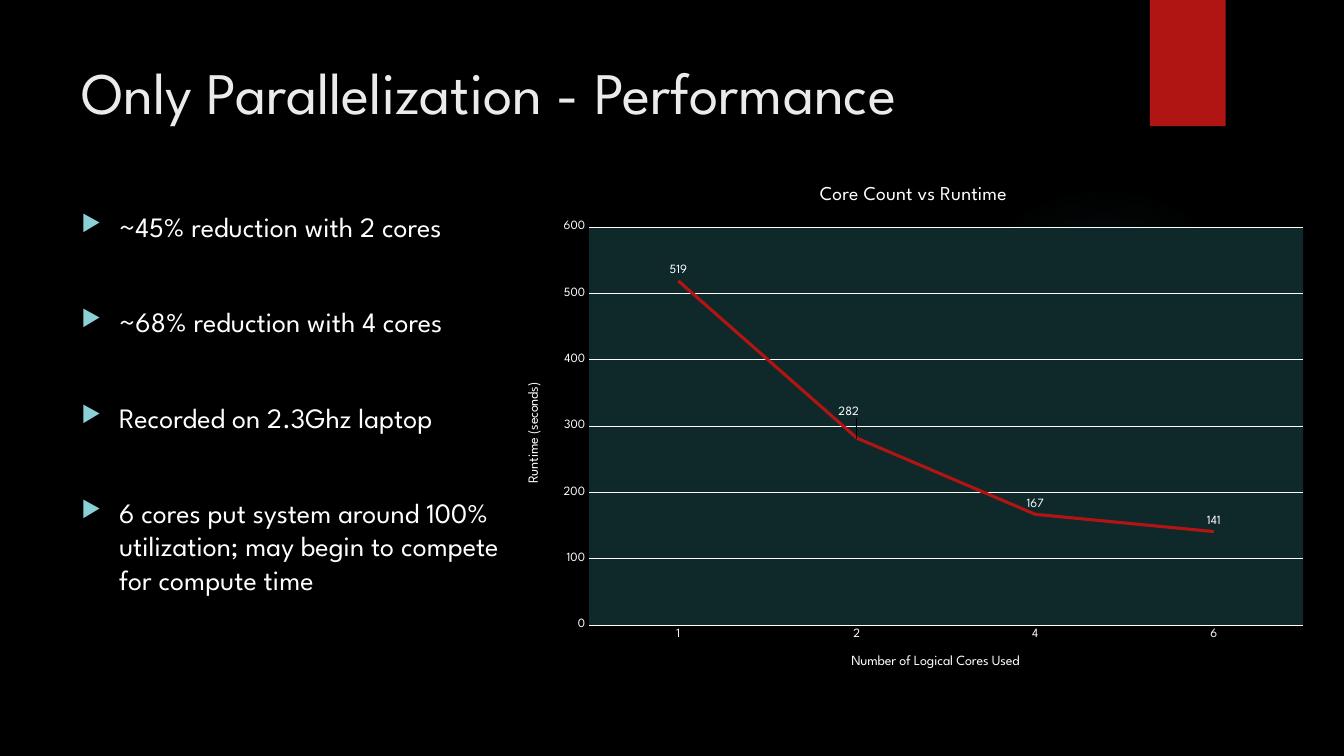
from lxml import etree
from pptx import Presentation
from pptx import util as u
from pptx.chart.data import CategoryChartData
from pptx.dml.color import RGBColor
from pptx.enum import chart as charts, shapes
from pptx.oxml import parse_xml
from pptx.oxml.ns import nsdecls, qn

TITLE = "Only Parallelization - Performance"
POINTS = [
    "~45% reduction with 2 cores",
    "~68% reduction with 4 cores",
    "Recorded on 2.3Ghz laptop",
    "6 cores put system around 100% utilization; may begin to compete for compute time",
]
CHART_TITLE = "Core Count vs Runtime"
CORES_TITLE = "Number of Logical Cores Used"
RUNTIME_TITLE = "Runtime (seconds)"
RUNTIMES = {"1": 519, "2": 282, "4": 167, "6": 141}

FONT = "League Spartan"
BLACK = RGBColor(0x00, 0x00, 0x00)
WHITE = RGBColor(0xFF, 0xFF, 0xFF)
PALE = RGBColor(0xEB, 0xEB, 0xEB)
RED = RGBColor(0xB0, 0x15, 0x13)
AQUA = RGBColor(0x8A, 0xD0, 0xD6)
GLOW = RGBColor(0x50, 0xB9, 0xC1)
PLOT = RGBColor(0x0F, 0x28, 0x2A)
GLOW_STOPS = [(0, 7), (36, 6), (69, 0)]
INDENT = u.Cm(0.95)


def set_font(font, size, color):
    font.name = FONT
    font.size = u.Pt(size)
    font.bold = False
    font.color.rgb = color


def add_text(page, place, lines, size, color, gap=0, bullet=False):
    box = page.shapes.add_textbox(*map(u.Cm, place))
    frame = box.text_frame
    frame.word_wrap = True
    for number, line in enumerate(lines):
        para = frame.paragraphs[0] if number == 0 else frame.add_paragraph()
        para.text = line
        para.space_before = u.Pt(gap if number else 0)
        if bullet:
            add_bullet(para)
        set_font(para.font, size, color)


def add_bullet(para):
    props = para._p.get_or_add_pPr()
    props.set("marL", str(INDENT))
    props.set("indent", str(-INDENT))
    color = etree.SubElement(props, qn("a:buClr"))
    etree.SubElement(color, qn("a:srgbClr"), val=str(AQUA))
    etree.SubElement(props, qn("a:buSzPct"), val="80000")
    etree.SubElement(props, qn("a:buChar"), char="▶")


def add_plain_shape(page, kind, place, color):
    shape = page.shapes.add_shape(kind, *map(u.Cm, place))
    shape.shadow.inherit = False
    shape.fill.solid()
    shape.fill.fore_color.rgb = color
    shape.line.fill.background()
    return shape


def add_glow(page, place):
    glow = add_plain_shape(page, shapes.MSO_SHAPE.OVAL, place, GLOW)
    stops = "".join(
        f'<a:gs pos="{at * 1000}"><a:srgbClr val="{GLOW}">'
        f'<a:alpha val="{alpha * 1000}"/></a:srgbClr></a:gs>'
        for at, alpha in GLOW_STOPS
    )
    gradient = parse_xml(
        f'<a:gradFill {nsdecls("a")}><a:gsLst>{stops}</a:gsLst><a:path path="circle">'
        '<a:fillToRect l="50000" t="50000" r="50000" b="50000"/></a:path></a:gradFill>'
    )
    solid = glow._element.spPr.find(qn("a:solidFill"))
    solid.getparent().replace(solid, gradient)


def make_layout(**values):
    items = "".join(f'<c:{key} val="{value}"/>' for key, value in values.items())
    return parse_xml(
        f'<c:layout {nsdecls("c")}><c:manualLayout>{items}</c:manualLayout></c:layout>'
    )


def set_title(title, words, size, x, y):
    frame = title.text_frame
    frame.text = words
    set_font(frame.paragraphs[0].font, size, WHITE)
    element = title._element
    for old in element.findall(qn("c:layout")):
        element.remove(old)
    place = make_layout(xMode="edge", yMode="edge", x=x, y=y)
    element.find(qn("c:tx")).addnext(place)


def style_axis(axis):
    axis.major_tick_mark = charts.XL_TICK_MARK.NONE
    axis.minor_tick_mark = charts.XL_TICK_MARK.NONE
    set_font(axis.tick_labels.font, 9, WHITE)


def add_runtime_chart(page, place):
    data = CategoryChartData()
    data.categories = list(RUNTIMES)
    data.add_series("Series 1", list(RUNTIMES.values()))
    chart = page.shapes.add_chart(
        charts.XL_CHART_TYPE.LINE, *map(u.Cm, place), data
    ).chart
    set_font(chart.font, 10, WHITE)
    chart.has_legend = False
    set_title(chart.chart_title, CHART_TITLE, 14, 0.38, 0.03)
    chart.chart_title.include_in_layout = False

    cores, runtime = chart.category_axis, chart.value_axis
    style_axis(cores)
    style_axis(runtime)
    set_title(cores.axis_title, CORES_TITLE, 10, 0.42, 0.93)
    set_title(runtime.axis_title, RUNTIME_TITLE, 10, 0.02, 0.41)
    turned = runtime.axis_title._element.find(".//" + qn("a:bodyPr"))
    turned.set("rot", "-5400000")
    turned.set("vert", "horz")
    runtime.minimum_scale, runtime.maximum_scale, runtime.major_unit = 0, 600, 100
    runtime.format.line.fill.background()
    for line in (cores.format.line, runtime.major_gridlines.format.line):
        line.color.rgb = WHITE
        line.width = u.Pt(0.75)

    plot = chart.plots[0]
    plot.vary_by_categories = False
    series = plot.series[0]
    series.smooth = False
    series.marker.style = charts.XL_MARKER_STYLE.NONE
    series.format.line.color.rgb = RED
    series.format.line.width = u.Pt(2.25)
    labels = series.data_labels
    labels.show_value = True
    moved = series.points[1].data_label
    for label in (labels, moved):
        set_font(label.font, 9, WHITE)
        label.position = charts.XL_LABEL_POSITION.ABOVE
    moved_xml = series._element.find(".//" + qn("c:dLbl"))
    moved_xml.find(qn("c:idx")).addnext(make_layout(x=-0.01, y=-0.03))

    space = chart._chartSpace
    area = space.find(".//" + qn("c:plotArea"))
    for old in area.findall(qn("c:layout")):
        area.remove(old)
    area.insert(0, make_layout(layoutTarget="inner", xMode="edge", yMode="edge",
                               x=0.1, y=0.118, w=0.88, h=0.761))
    area.append(parse_xml(
        f'<c:spPr {nsdecls("c", "a")}><a:solidFill><a:srgbClr val="{PLOT}"/>'
        '</a:solidFill><a:ln><a:noFill/></a:ln></c:spPr>'
    ))
    space.find(qn("c:chart")).addnext(parse_xml(
        f'<c:spPr {nsdecls("c", "a")}><a:noFill/><a:ln><a:noFill/></a:ln></c:spPr>'
    ))


def main():
    deck = Presentation()
    deck.slide_width, deck.slide_height = u.Cm(33.87), u.Cm(19.05)
    page = deck.slides.add_slide(deck.slide_layouts[6])
    page.background.fill.solid()
    page.background.fill.fore_color.rgb = BLACK
    add_glow(page, (23.9, 4.65, 7.82, 7.82))
    add_plain_shape(page, shapes.MSO_SHAPE.RECTANGLE, (28.98, 0, 1.91, 3.18), RED)
    add_text(page, (1.8, 1.27, 26.14, 3.89), [TITLE], 42, PALE)
    add_text(page, (1.8, 5.16, 11.25, 12.42), POINTS, 20, WHITE, gap=44, bullet=True)
    add_runtime_chart(page, (12.8, 4.17, 20.45, 13.18))
    deck.save("out.pptx")


if __name__ == "__main__":
    main()
